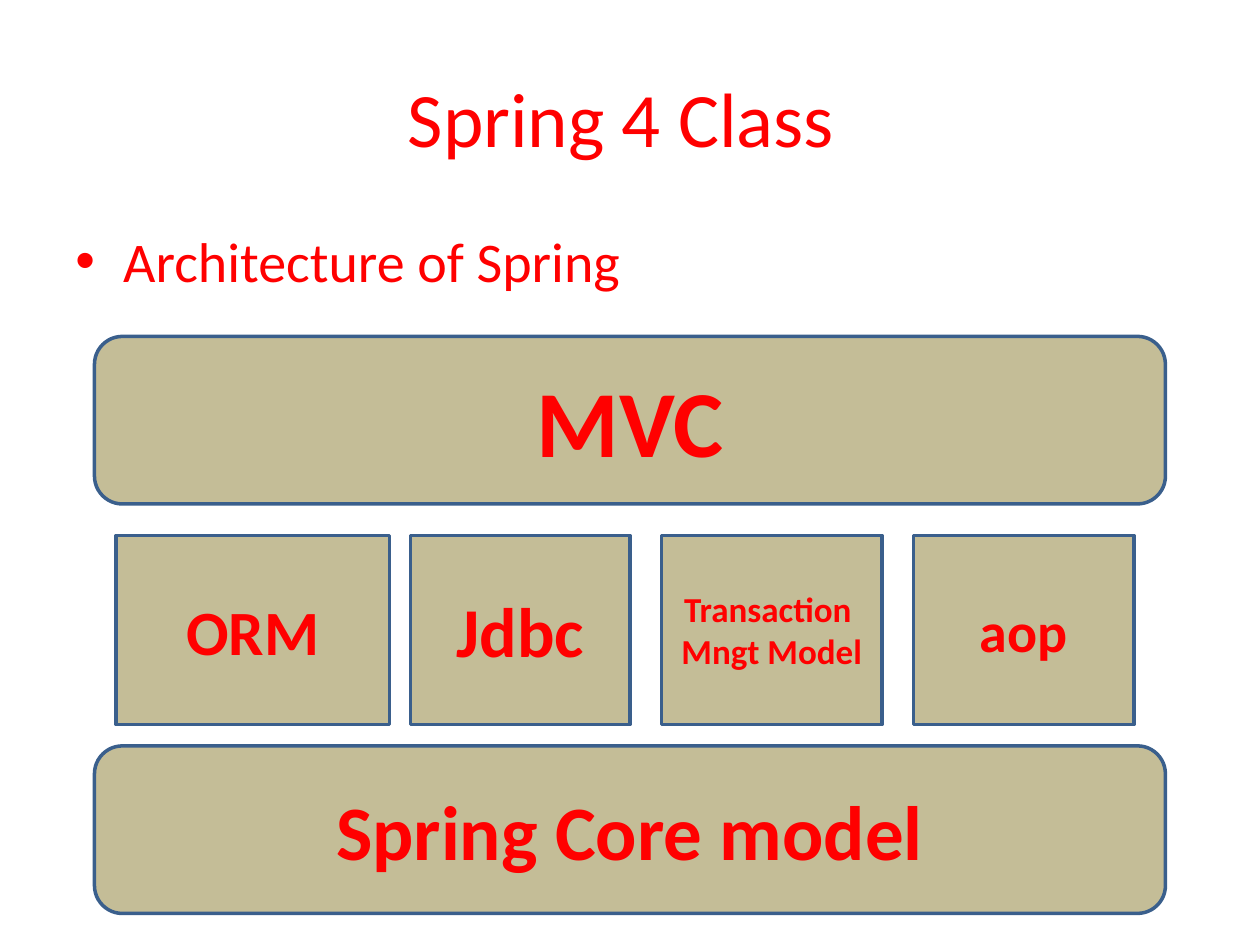
from lxml import etree
from pptx import Presentation
from pptx.dml.color import RGBColor
from pptx.enum.shapes import MSO_SHAPE
from pptx.enum.text import MSO_ANCHOR, PP_ALIGN
from pptx.oxml.ns import qn
from pptx.util import Inches, Pt

RECT, ROUNDED = MSO_SHAPE.RECTANGLE, MSO_SHAPE.ROUNDED_RECTANGLE
LEFT, CENTER = PP_ALIGN.LEFT, PP_ALIGN.CENTER
TOP, MIDDLE = MSO_ANCHOR.TOP, MSO_ANCHOR.MIDDLE
FONT, RED, TAN, BLUE = "Calibri", "FF0000", "C4BD97", "3A5F8C"


def rgb(value):
    """Return the colour for a hex string."""
    return RGBColor.from_string(value)


def write(tf, text, size, bold=False, align=CENTER, anchor=MIDDLE, bullet=None):
    """Write one paragraph per line of text with the given format."""
    tf.word_wrap = True
    tf.vertical_anchor = anchor
    for i, line in enumerate(text.split("\n")):
        p = tf.add_paragraph() if i else tf.paragraphs[0]
        p.alignment = align
        if bullet:
            add_bullet(p, bullet)
        r = p.add_run()
        r.text = line
        r.font.name, r.font.size, r.font.bold = FONT, Pt(size), bold
        r.font.color.rgb = rgb(RED)


def add_bullet(p, char, indent=0.38):
    """Give a paragraph a bullet with a hanging indent."""
    pPr = p._p.get_or_add_pPr()
    pPr.set("marL", str(Inches(indent)))
    pPr.set("indent", str(-Inches(indent)))
    etree.SubElement(pPr, qn("a:buFont")).set("typeface", "Arial")
    etree.SubElement(pPr, qn("a:buChar")).set("char", char)


def add_title(s, text):
    """Place and fill the title placeholder."""
    sp = s.shapes.title
    sp.left, sp.top, sp.width, sp.height = map(Inches, (0.5, 0.3, 9, 1.25))
    write(sp.text_frame, text, 44)


def add_body(s, text):
    """Add the bulleted text below the title."""
    sp = s.shapes.add_textbox(*map(Inches, (0.5, 1.75, 9, 4.95)))
    write(sp.text_frame, text, 32, align=LEFT, anchor=TOP, bullet="•")


def add_block(s, kind, box, text, size):
    """Add a labelled block of the architecture."""
    sp = s.shapes.add_shape(kind, *map(Inches, box))
    sp.shadow.inherit = False
    sp.fill.solid()
    sp.fill.fore_color.rgb = rgb(TAN)
    sp.line.color.rgb = rgb(BLUE)
    sp.line.width = Pt(2)
    write(sp.text_frame, text, size, bold=True)


def main():
    """Build the slide and save it."""
    prs = Presentation()
    prs.slide_width, prs.slide_height = Inches(10), Inches(7.5)
    s = prs.slides.add_slide(prs.slide_layouts[5])
    add_title(s, "Spring 4 Class ")
    add_body(s, "Architecture of Spring")

    layers = [(5.92, "Spring Core model", 44), (2.67, "MVC", 54)]
    for top, text, size in layers:
        add_block(s, ROUNDED, (0.75, top, 8.5, 1.33), text, size)

    modules = [
        (0.92, 2.17, "ORM", 36),
        (3.26, 1.74, "Jdbc", 40),
        (5.25, 1.75, "Transaction \nMngt Model", 20),
        (7.25, 1.75, "aop", 32),
    ]
    for left, width, text, size in modules:
        add_block(s, RECT, (left, 4.25, width, 1.5), text, size)
    prs.save("out.pptx")


if __name__ == "__main__":
    main()
